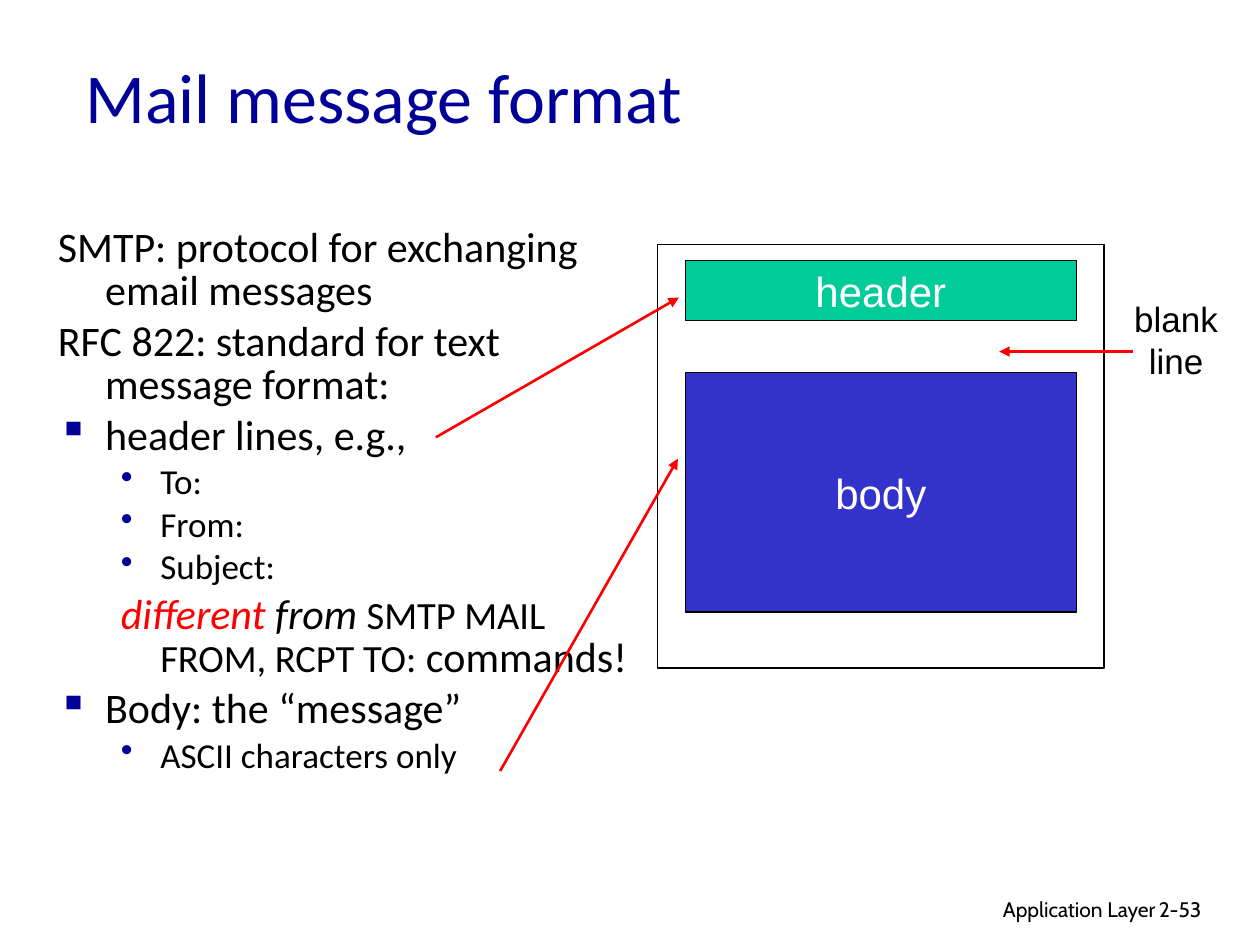
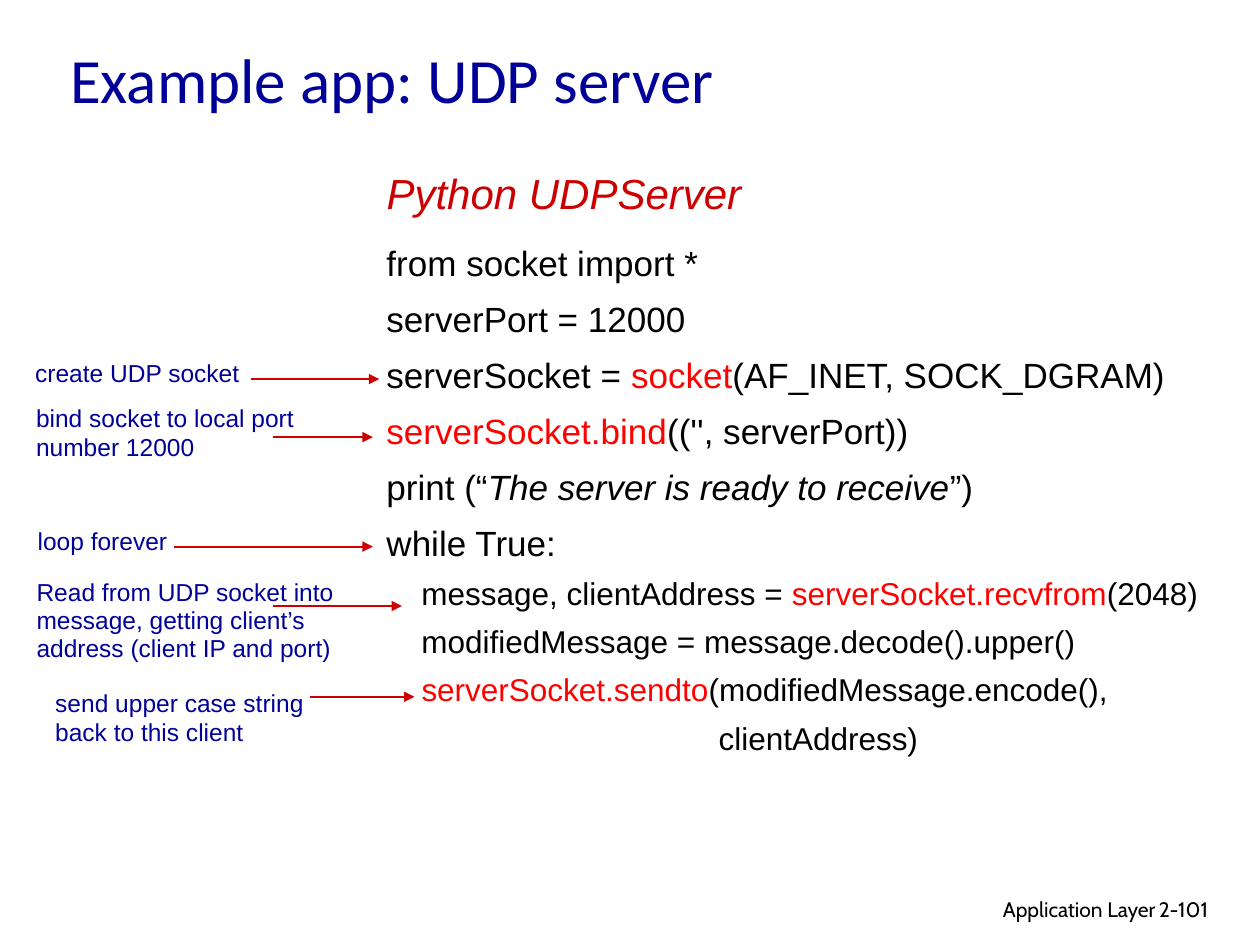
from dataclasses import dataclass

from lxml.etree import SubElement
from pptx import Presentation
from pptx.dml.color import RGBColor
from pptx.enum.shapes import MSO_CONNECTOR, MSO_SHAPE
from pptx.enum.text import MSO_ANCHOR, PP_ALIGN
from pptx.oxml.ns import qn
from pptx.util import Pt


@dataclass(frozen=True)
class Theme:
    black: str = "000000"
    white: str = "FFFFFF"
    navy: str = "000099"
    red: str = "FF0000"
    dark_red: str = "CC0000"
    green: str = "00CC99"
    blue: str = "3333CC"
    heading_font: str = "Calibri"
    plain_font: str = "Arial"
    footer_font: str = "Cabin"
    large: int = 24
    medium: int = 20
    code_block: int = 18
    label: int = 14
    footer: int = 12


theme = Theme()


def write(shape, paragraphs, font, size, color, anchor=MSO_ANCHOR.TOP, wrap=True):
    """Fill a shape with (runs, paragraph format) pairs.

    A run is (text, font changes). The format may hold a bullet and its
    hanging indent as well as values for the paragraph's own attributes.
    """
    frame = shape.text_frame
    frame.word_wrap = wrap
    frame.vertical_anchor = anchor
    for index, (runs, layout) in enumerate(paragraphs):
        paragraph = frame.add_paragraph() if index else frame.paragraphs[0]
        layout = dict(layout)
        bullet = layout.pop("bullet", None)
        margin, hang = layout.pop("indent", (0, 0))
        if index == 0:
            layout.pop("space_before", None)
        properties = paragraph._p.get_or_add_pPr()
        properties.set("marL", str(Pt(margin)))
        properties.set("indent", str(-Pt(hang)))
        if bullet:
            bullet_color = SubElement(properties, qn("a:buClr"))
            SubElement(bullet_color, qn("a:srgbClr"), val=theme.navy)
            SubElement(properties, qn("a:buChar"), char=bullet)
        for name, value in layout.items():
            setattr(paragraph, name, value)
        for text, changes in runs:
            run = paragraph.add_run()
            run.text = text
            values = {"name": font, "size": Pt(size), **changes}
            run_color = values.pop("color", color)
            for name, value in values.items():
                setattr(run.font, name, value)
            run.font.color.rgb = RGBColor.from_string(run_color)


def add_arrow(slide, start, end, color, width):
    arrow = slide.shapes.add_connector(
        MSO_CONNECTOR.STRAIGHT, *map(Pt, (*start, *end)))
    arrow.line.color.rgb = RGBColor.from_string(color)
    arrow.line.width = Pt(width)
    SubElement(arrow.line._get_or_add_ln(), qn("a:tailEnd"), type="triangle")
    SubElement(arrow._element.spPr, qn("a:effectLst"))


deck = Presentation()
deck.slide_width, deck.slide_height = Pt(720), Pt(540)

# Titles and footers
slides = []
for title, title_box, title_size, number in [
    ("Mail message format", (41.75, 9.4, 612, 90), 40, "2-53"),
    ("Example app: UDP server", (33, 7.25, 612, 75), 36, "2-101"),
]:
    slide = deck.slides.add_slide(deck.slide_layouts[6])
    slides.append(slide)
    for text, box, align in [
        ("Application Layer", (439.2, 509, 228.25, 22), PP_ALIGN.RIGHT),
        (number, (655.2, 509, 53.3, 22), PP_ALIGN.LEFT),
    ]:
        write(slide.shapes.add_textbox(*map(Pt, box)),
              [([(text, {})], {"alignment": align})],
              theme.footer_font, theme.footer, theme.black)
    write(slide.shapes.add_textbox(*map(Pt, title_box)), [([(title, {})], {})],
          theme.heading_font, title_size, theme.navy, MSO_ANCHOR.MIDDLE)
mail, server = slides

# Mail message format: outline
large_gap = {"line_spacing": 0.85, "space_before": Pt(4.8)}
point = {**large_gap, "indent": (27, 27)}
square = {**point, "bullet": "▪"}
remark = {**large_gap, "indent": (58.5, 22.5)}
dot = {**remark, "bullet": "•", "space_before": Pt(4)}
small = {"size": Pt(theme.medium)}
outline = [
    ([("SMTP: protocol for exchanging email messages", {})], point),
    ([("RFC 822: standard for text message format:", {})], point),
    ([("header lines, e.g.,", {})], square),
    *[([(field, small)], dot) for field in ("To:", "From:", "Subject:")],
    ([("different ", {"italic": True, "color": theme.red}),
      ("from ", {"italic": True}),
      ("SMTP MAIL FROM, RCPT TO:", {"size": Pt(22)}),
      (" commands!", {})], remark),
    ([("Body: the “message”", {})], square),
    ([("ASCII characters only", small)], dot),
]
write(mail.shapes.add_textbox(*map(Pt, (26, 126.75, 345, 366))), outline,
      theme.heading_font, theme.large, theme.black)

# Mail message format: diagram
centered = {"alignment": PP_ALIGN.CENTER}
for text, box, fill, line_width in [
    ("header", (391.75, 149, 223.25, 34), theme.green, 0.75),
    ("body", (391.75, 213, 223.25, 136.75), theme.blue, 0.75),
    (None, (375.75, 139.75, 255, 242), None, 1),
]:
    part = mail.shapes.add_shape(MSO_SHAPE.RECTANGLE, *map(Pt, box))
    part.shadow.inherit = False
    part.line.color.rgb = RGBColor.from_string(theme.black)
    part.line.width = Pt(line_width)
    if fill:
        part.fill.solid()
        part.fill.fore_color.rgb = RGBColor.from_string(fill)
        write(part, [([(text, {})], centered)], theme.plain_font,
              theme.large, theme.white, MSO_ANCHOR.MIDDLE)
    else:
        part.fill.background()

write(mail.shapes.add_textbox(*map(Pt, (640.8, 166.3, 62.6, 55.5))),
      [([(word, {})], centered) for word in ("blank", "line")],
      theme.plain_font, theme.medium, theme.black, wrap=False)

for start, end in [
    ((249.1, 249.9), (388, 170)),
    ((285.8, 440.6), (387.4, 262.1)),
    ((647.3, 200.9), (571, 200.9)),
]:
    add_arrow(mail, start, end, theme.red, 1.5)

# Example app: UDP server, code
call = {"color": theme.red}
outer_lines = [
    [("from socket import *", {})],
    [("serverPort = 12000", {})],
    [("serverSocket = ", {}), ("socket", call), ("(AF_INET, SOCK_DGRAM)", {})],
    [("serverSocket.bind", call), ("(('', serverPort))", {})],
    [("print (“", {}), ("The server is ready to receive", {"italic": True}),
     ("”)", {})],
    [("while True:", {})],
]
loop_lines = [
    [("    message, clientAddress = ", {}), ("serverSocket.recvfrom", call),
     ("(2048)", {})],
    [("    modifiedMessage = message.decode().upper()", {})],
    [("    ", {}), ("serverSocket.sendto", call),
     ("(modifiedMessage.encode(),", {})],
    [(" " * 38 + "clientAddress)", {})],
]
outer = {"line_spacing": Pt(28), "space_before": Pt(4)}
inner = {"line_spacing": Pt(24), "space_before": Pt(3.6)}
code = [(runs, outer) for runs in outer_lines]
code += [([(text, {"size": Pt(theme.code_block), **changes})
           for text, changes in runs], inner) for runs in loop_lines]
write(server.shapes.add_textbox(*map(Pt, (213.8, 130.3, 484, 315.4))), code,
      theme.plain_font, theme.medium, theme.black)
write(server.shapes.add_textbox(*map(Pt, (213.8, 92.2, 225.5, 36.7))),
      [([("Python UDPServer", {"italic": True})], {})],
      theme.plain_font, theme.large, theme.dark_red)

# Example app: UDP server, explanations with arrows to the code
tight = {"line_spacing": Pt(16)}
for text, box, layout, arrow_y, arrow_from, arrow_to in [
    ("create UDP socket", (13, 200.9, 201.6, 24.5), {}, 216.6, 143.3, 216.7),
    ("bind socket to local port number 12000",
     (13.5, 226.8, 178.6, 41), {}, 249.8, 156.2, 213.1),
    ("loop forever", (14.4, 298.1, 94.3, 23.8), tight, 312.4, 99.4, 213.1),
    ("Read from UDP socket into message, getting client’s address "
     "(client IP and port)",
     (13.8, 326.9, 185, 55.4), tight, 346.3, 156.2, 229.7),
    ("send upper case string back to this client",
     (24.5, 389.5, 185, 41), {}, 398.2, 177.1, 236.9),
]:
    write(server.shapes.add_textbox(*map(Pt, box)), [([(text, {})], layout)],
          theme.plain_font, theme.label, theme.navy)
    add_arrow(server, (arrow_from, arrow_y), (arrow_to, arrow_y),
              theme.dark_red, 1)

deck.save("out.pptx")
